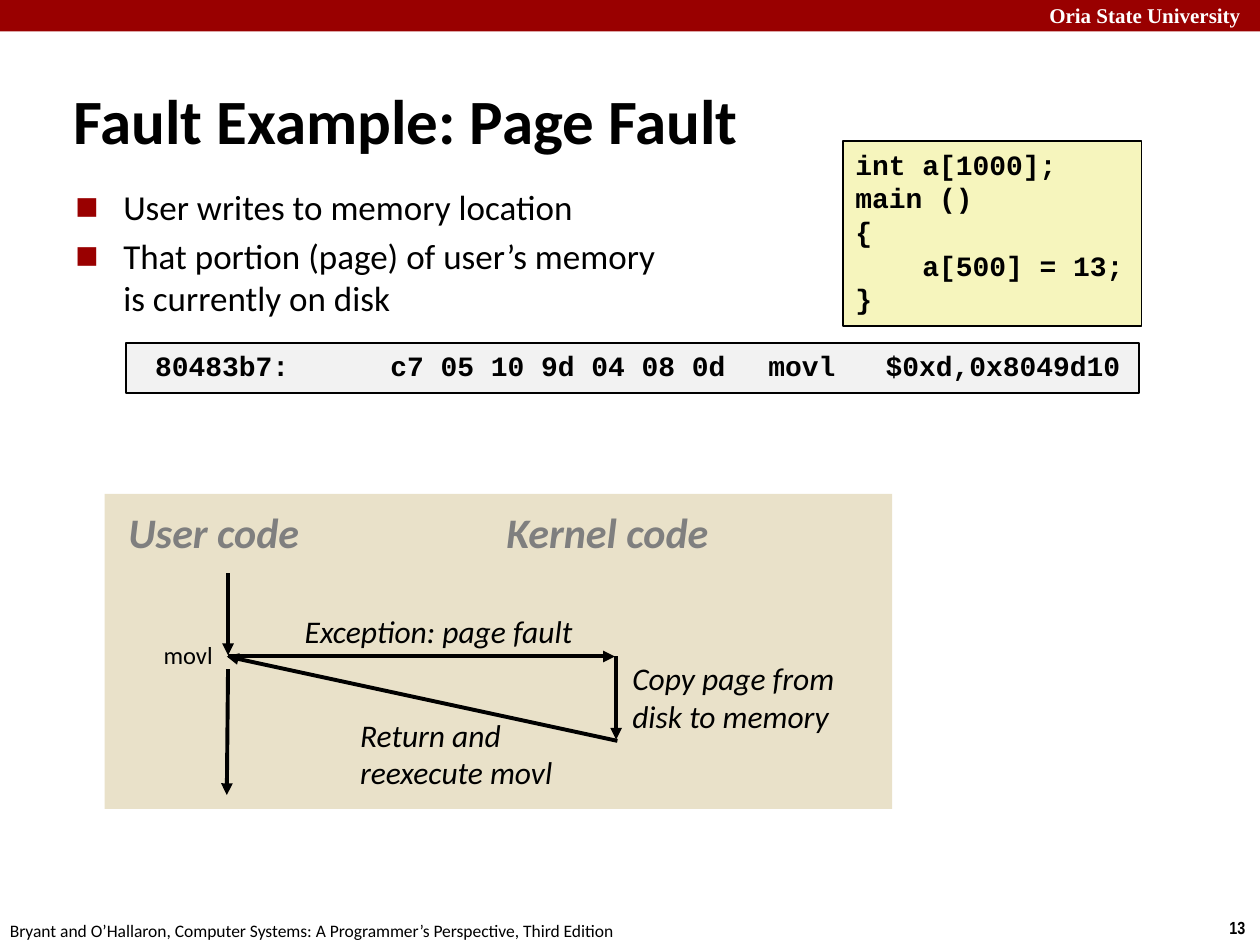
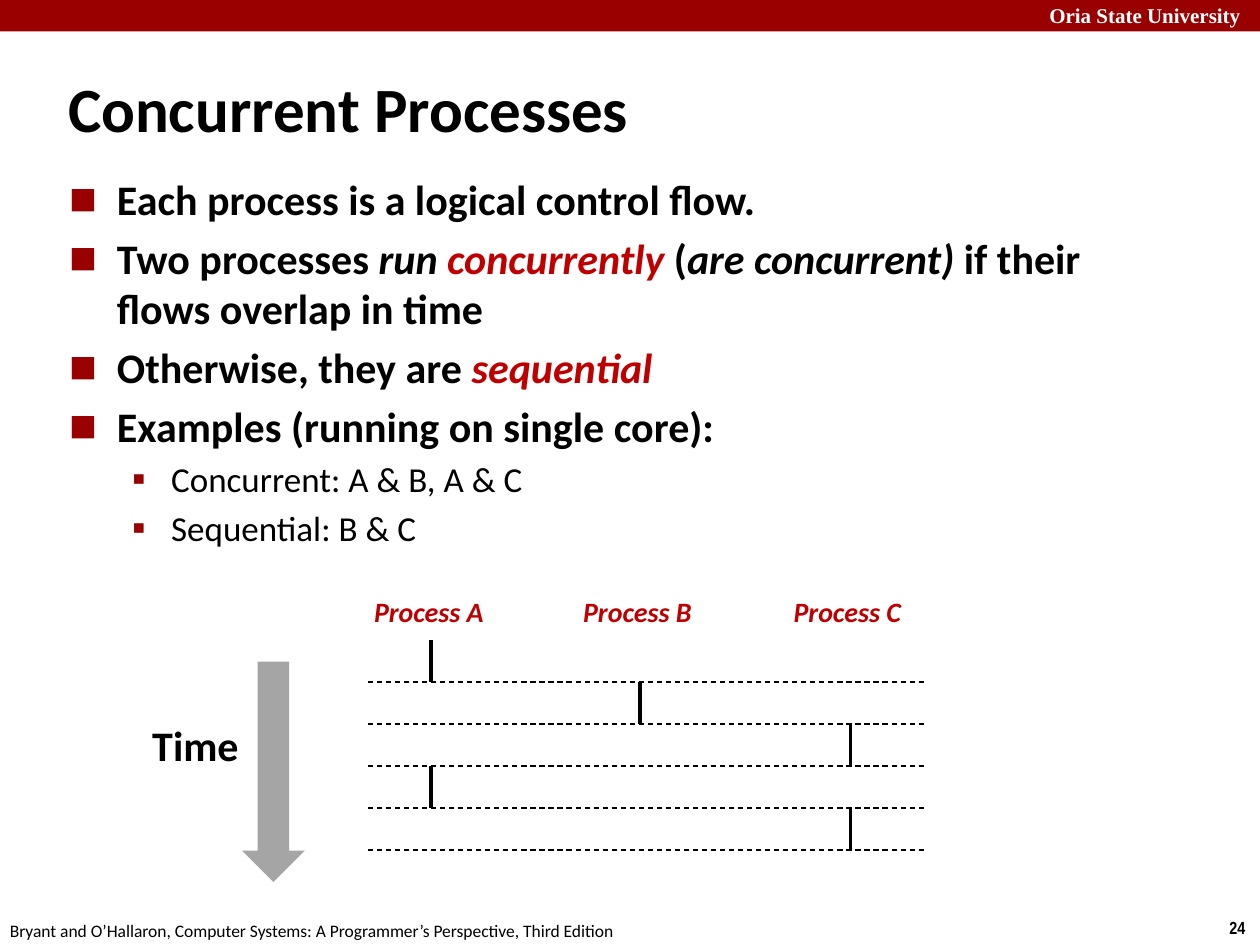
import dataclasses

import lxml.etree
import pptx
import pptx.dml.color
import pptx.enum.dml
import pptx.enum.shapes
import pptx.enum.text
import pptx.oxml.ns
import pptx.util

Inches = pptx.util.Inches
Pt = pptx.util.Pt
RGB = pptx.dml.color.RGBColor.from_string
SHAPE = pptx.enum.shapes.MSO_SHAPE
ANCHOR = pptx.enum.text.MSO_ANCHOR
qn = pptx.oxml.ns.qn


@dataclasses.dataclass(frozen=True)
class Theme:
    brand: str = "990000"
    accent: str = "C00000"
    ink: str = "000000"
    white: str = "FFFFFF"
    muted: str = "7F7F7F"
    panel: str = "E9E1C9"
    code: str = "F6F5BD"
    assembly: str = "F2F2F2"
    arrow: str = "A5A5A5"
    sans: str = "Calibri"
    mono: str = "Courier New"
    serif: str = "Times New Roman"
    narrow: str = "Arial Narrow"
    title: int = 36
    heading: int = 24
    body: int = 20
    label: int = 18
    small: int = 16
    tiny: int = 14
    band: int = 12
    footer: int = 10
    bullet_percent: int = 110


theme = Theme()


def write(shape, paragraphs, size, color=theme.ink, font=theme.sans, bold=False,
          italic=False, wrap=True, bullets=None):
    """Fill a shape with paragraphs; each is a string or a list of (text, color, italic) spans.

    bullets gives (mark, left margin, hanging indent, space before, size, bold) per paragraph.
    """
    frame = shape.text_frame
    frame.word_wrap = wrap
    frame.auto_size = pptx.enum.text.MSO_AUTO_SIZE.NONE
    for index, content in enumerate(paragraphs):
        para = frame.paragraphs[0] if index == 0 else frame.add_paragraph()
        para.alignment = pptx.enum.text.PP_ALIGN.LEFT
        para_size, para_bold = size, bold
        if bullets:
            mark, margin, hang, before, para_size, para_bold = bullets[index]
            para.space_before = Pt(before if index else 0)
            props = para._p.get_or_add_pPr()
            props.set("marL", str(Inches(margin)))
            props.set("indent", str(-Inches(hang)))
            if mark:
                tint = lxml.etree.SubElement(props, qn("a:buClr"))
                lxml.etree.SubElement(tint, qn("a:srgbClr"), val=theme.brand)
                lxml.etree.SubElement(props, qn("a:buSzPct"),
                                      val=str(theme.bullet_percent * 1000))
                lxml.etree.SubElement(props, qn("a:buFont"), typeface=theme.serif)
                lxml.etree.SubElement(props, qn("a:buChar"), char=mark)
        spans = [(content, color, italic)] if isinstance(content, str) else content
        for text, span_color, span_italic in spans:
            if text == "\n":
                para.add_line_break()
                continue
            span = para.add_run()
            span.text = text
            span.font.name = font
            span.font.size = Pt(para_size)
            span.font.bold = para_bold
            span.font.italic = span_italic
            span.font.color.rgb = RGB(span_color)


def draw_line(page, start, end, width, arrow=False, dashed=False):
    line = page.shapes.add_connector(
        pptx.enum.shapes.MSO_CONNECTOR.STRAIGHT, *map(Inches, start + end))
    line.line.color.rgb = RGB(theme.ink)
    line.line.width = Pt(width)
    if dashed:
        line.line.dash_style = pptx.enum.dml.MSO_LINE.DASH
    if arrow:
        lxml.etree.SubElement(line.line._get_or_add_ln(), qn("a:tailEnd"), type="triangle")
    lxml.etree.SubElement(line._element.spPr, qn("a:effectLst"))


deck = pptx.Presentation()
deck.slide_width = Inches(10)
deck.slide_height = Inches(7.5)

# Shared frame: band, page number, footer and title
pages = []
for number, title, title_box in [
    ("13", "Fault Example: Page Fault", (0.48, 0.64, 8.63, 0.61)),
    ("24", "Concurrent Processes", (0.44, 0.54, 6.64, 0.63)),
]:
    page = deck.slides.add_slide(deck.slide_layouts[5])
    pages.append(page)
    band = page.shapes.add_shape(SHAPE.RECTANGLE, 0, 0, deck.slide_width, Inches(0.25))
    band.shadow.inherit = False
    band.fill.solid()
    band.fill.fore_color.rgb = RGB(theme.brand)
    band.line.fill.background()
    for box, text, size, color, font, bold in [
        ((8.23, -0.03, 1.84, 0.3), "Oria State University",
         theme.band, theme.white, theme.serif, True),
        ((9.66, 7.23, 0.34, 0.27), number, theme.footer, theme.ink, theme.narrow, True),
        ((-0.02, 7.25, 5.08, 0.27),
         "Bryant and O’Hallaron, Computer Systems: A Programmer’s Perspective, Third Edition",
         theme.footer, theme.ink, theme.sans, False),
    ]:
        write(page.shapes.add_textbox(*map(Inches, box)), [text], size, color, font, bold,
              wrap=False)
    heading = page.shapes.title
    heading.left, heading.top, heading.width, heading.height = map(Inches, title_box)
    heading.text_frame.vertical_anchor = ANCHOR.MIDDLE
    write(heading, [title], theme.title, bold=True,
          bullets=[(None, 0.13, 0.13, 0, theme.title, True)])

fault_page, process_page = pages

# Page fault: bullets
body = fault_page.shapes.add_textbox(Inches(0.5), Inches(1.42), Inches(8.92), Inches(1.17))
write(body, [
    "User writes to memory location",
    [("That portion (page) of user’s memory ", theme.ink, False),
     ("\n", theme.ink, False),
     ("is currently on disk", theme.ink, False)],
], theme.body, bullets=[("■", 0.38, 0.38, 4, theme.body, False)] * 2)

# Page fault: diagram panel and code boxes
for box, fill, outlined, lines, tabs in [
    ((0.83, 3.92, 6.25, 2.5), theme.panel, False, [], []),
    ((6.69, 1.12, 2.37, 1.47), theme.code, True,
     ["int a[1000];", "main ()", "{", "    a[500] = 13;", "}"], []),
    ((1, 2.72, 8.04, 0.4), theme.assembly, True,
     [" 80483b7:\tc7 05 10 9d 04 08 0d \tmovl   $0xd,0x8049d10"], [2, 5]),
]:
    panel = fault_page.shapes.add_shape(SHAPE.RECTANGLE, *map(Inches, box))
    panel.shadow.inherit = False
    panel.fill.solid()
    panel.fill.fore_color.rgb = RGB(fill)
    if outlined:
        panel.line.color.rgb = RGB(theme.ink)
        panel.line.width = Pt(1)
    else:
        panel.line.fill.background()
    panel.text_frame.vertical_anchor = ANCHOR.TOP
    write(panel, lines, theme.small, font=theme.mono, bold=True)
    if tabs:
        props = panel.text_frame.paragraphs[0]._p.get_or_add_pPr()
        stops = lxml.etree.SubElement(props, qn("a:tabLst"))
        for tab in tabs:
            lxml.etree.SubElement(stops, qn("a:tab"), pos=str(Inches(tab)), algn="l")

# Page fault: control flow arrows
for start, end in [
    ((1.81, 4.55), (1.81, 5.2)),
    ((1.81, 5.21), (4.88, 5.21)),
    ((4.89, 5.21), (4.89, 5.87)),
    ((4.9, 5.88), (1.8, 5.21)),
    ((1.81, 5.31), (1.8, 6.31)),
]:
    draw_line(fault_page, start, end, 2.25, arrow=True)

# Page fault: diagram labels
for box, text, size, color, bold, italic, wrap in [
    ((0.92, 3.97, 1.65, 0.5), "User code", theme.heading, theme.muted, True, True, True),
    ((3.92, 3.97, 1.91, 0.5), "Kernel code", theme.heading, theme.muted, True, True, True),
    ((2.32, 4.81, 2.42, 0.4), "Exception: page fault",
     theme.label, theme.ink, False, True, False),
    ((4.92, 5.18, 2.16, 0.7), "Copy page from disk to memory",
     theme.label, theme.ink, False, True, True),
    ((2.76, 5.63, 1.99, 0.7), "Return and reexecute movl",
     theme.label, theme.ink, False, True, True),
    ((1.2, 5.03, 0.6, 0.34), "movl", theme.tiny, theme.ink, False, False, False),
]:
    write(fault_page.shapes.add_textbox(*map(Inches, box)), [text], size, color,
          bold=bold, italic=italic, wrap=wrap)

# Concurrent processes: bullets
main_bullet = ("■", 0.38, 0.38, 4.8, theme.heading, True)
sub_bullet = ("▪", 0.81, 0.31, 4, theme.body, False)
body = process_page.shapes.add_textbox(Inches(0.45), Inches(1.33), Inches(8.64), Inches(2.83))
write(body, [
    "Each process is a logical control flow.",
    [("Two processes ", theme.ink, False), ("run ", theme.ink, True),
     ("concurrently", theme.accent, True), (" (", theme.ink, False),
     ("are concurrent)", theme.ink, True),
     (" if their flows overlap in time", theme.ink, False)],
    [("Otherwise, they are ", theme.ink, False), ("sequential", theme.accent, True)],
    "Examples (running on single core):",
    "Concurrent: A & B, A & C",
    "Sequential: B & C",
], theme.heading, bullets=[main_bullet] * 4 + [sub_bullet] * 2)
for para in body.text_frame.paragraphs[4:]:
    para.level = 1

# Concurrent processes: one column per process
column_x = {"A": 3.42, "B": 5.08, "C": 6.75}
for name, x in column_x.items():
    label = process_page.shapes.add_textbox(
        Inches(x - 0.55), Inches(4.67), Inches(1.09), Inches(0.37))
    write(label, [f"Process {name}"], theme.small, theme.accent, bold=True, italic=True,
          wrap=False)

# Concurrent processes: time slices, each closed by a dashed line
slice_top, slice_height = 5.08, 1 / 3
for step, name in enumerate("ABCAC"):
    top = slice_top + step * slice_height
    bottom = top + slice_height
    draw_line(process_page, (column_x[name], top), (column_x[name], bottom), 2)
    draw_line(process_page, (2.92, bottom), (7.33, bottom), 0.75, dashed=True)

# Concurrent processes: time axis
time_label = process_page.shapes.add_textbox(
    Inches(1.11), Inches(5.66), Inches(0.89), Inches(0.5))
write(time_label, ["Time"], theme.heading, bold=True, wrap=False)
time_arrow = process_page.shapes.add_shape(
    SHAPE.DOWN_ARROW, Inches(1.92), Inches(5.25), Inches(0.5), Inches(1.75))
time_arrow.shadow.inherit = False
time_arrow.fill.solid()
time_arrow.fill.fore_color.rgb = RGB(theme.arrow)
time_arrow.line.fill.background()

deck.save("out.pptx")
